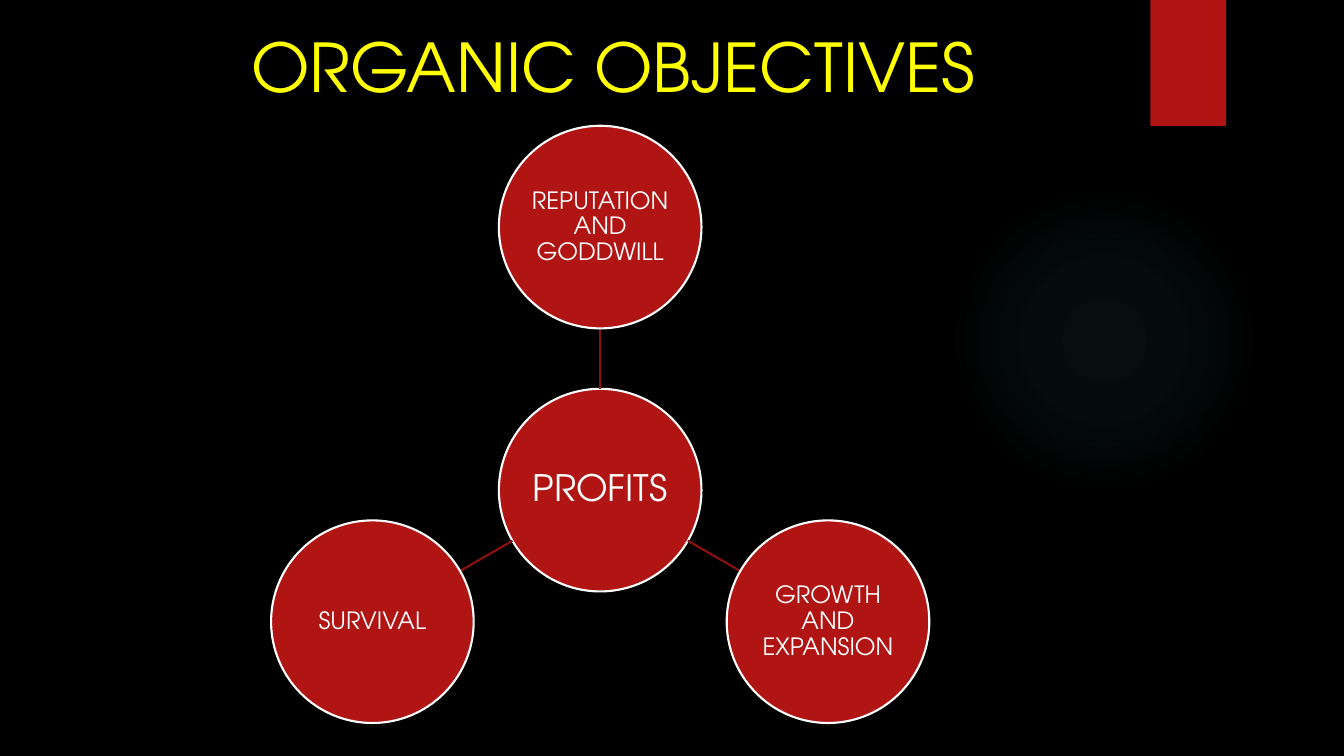
from math import cos, radians, sin

from lxml.etree import SubElement
from pptx import Presentation
from pptx.dml.color import RGBColor
from pptx.enum.shapes import MSO_CONNECTOR, MSO_SHAPE
from pptx.enum.text import MSO_ANCHOR, MSO_AUTO_SIZE, PP_ALIGN
from pptx.oxml import parse_xml
from pptx.oxml.ns import nsdecls, qn
from pptx.util import Pt

FONT = "TeX Gyre Adventor"
RED, DARK_RED, WHITE, YELLOW, BLACK, TEAL = (
    "B01513", "8D110F", "FFFFFF", "FFFF00", "000000", "50B9C1")
OBJECTIVES = [(-90, "REPUTATION AND GODDWILL"), (30, "GROWTH AND EXPANSION"), (150, "SURVIVAL")]


def color(hex_string):
    return RGBColor.from_string(hex_string)


def format_text(text_frame, text, size, hex_string, margin):
    text_frame.text = text
    text_frame.word_wrap = True
    text_frame.auto_size = MSO_AUTO_SIZE.NONE
    text_frame.margin_left = text_frame.margin_right = Pt(margin)
    text_frame.margin_top = text_frame.margin_bottom = Pt(margin)
    paragraph = text_frame.paragraphs[0]
    paragraph.alignment = PP_ALIGN.CENTER
    font = paragraph.runs[0].font
    font.name, font.size, font.color.rgb = FONT, Pt(size), color(hex_string)
    return paragraph


def add_plain_shape(slide, kind, left, top, width, height):
    shape = slide.shapes.add_shape(kind, Pt(left), Pt(top), Pt(width), Pt(height))
    shape.shadow.inherit = False
    shape.fill.solid()
    shape.fill.fore_color.rgb = color(RED)
    shape.line.fill.background()
    return shape


def add_glow(slide, left, top, size):
    """Add a faint circle that fades out from its centre."""
    glow = add_plain_shape(slide, MSO_SHAPE.OVAL, left, top, size, size)
    stops = "".join(
        f'<a:gs pos="{position}000"><a:srgbClr val="{TEAL}">'
        f'<a:alpha val="{alpha}000"/></a:srgbClr></a:gs>'
        for position, alpha in [(0, 7), (36, 6), (69, 0), (100, 0)])
    gradient = parse_xml(
        f'<a:gradFill {nsdecls("a")}><a:gsLst>{stops}</a:gsLst><a:path path="circle">'
        '<a:fillToRect l="50000" t="50000" r="50000" b="50000"/></a:path></a:gradFill>')
    properties = glow.element.spPr
    properties.replace(properties.find(qn("a:solidFill")), gradient)


def add_title(slide, text, left, top, width, height):
    title = slide.shapes.title
    title.left, title.top, title.width, title.height = Pt(left), Pt(top), Pt(width), Pt(height)
    format_text(title.text_frame, text, 48, YELLOW, 3.6)
    title.text_frame.vertical_anchor = MSO_ANCHOR.TOP


def add_circle(slide, text, size, center_x, center_y, diameter):
    circle = add_plain_shape(slide, MSO_SHAPE.OVAL, center_x - diameter / 2,
                             center_y - diameter / 2, diameter, diameter)
    circle.line.color.rgb = color(WHITE)
    circle.line.width = Pt(1.5)
    paragraph = format_text(circle.text_frame, text, size, WHITE, 1)
    paragraph.line_spacing = 0.9
    circle.text_frame.vertical_anchor = MSO_ANCHOR.MIDDLE


def add_spoke(slide, begin, end):
    spoke = slide.shapes.add_connector(MSO_CONNECTOR.STRAIGHT, *map(Pt, begin + end))
    spoke.line.color.rgb = color(DARK_RED)
    spoke.line.width = Pt(1.5)
    SubElement(spoke.element.spPr, qn("a:effectLst"))


def add_radial_diagram(slide, center_x, center_y, diameter, distance):
    """Place the hub, then each objective at its angle with a spoke between them."""
    def point(angle, reach):
        return (center_x + reach * cos(radians(angle)),
                center_y + reach * sin(radians(angle)))

    add_circle(slide, "PROFITS", 26, center_x, center_y, diameter)
    for angle, text in OBJECTIVES:
        add_spoke(slide, point(angle, diameter / 2), point(angle, distance - diameter / 2))
        add_circle(slide, text, 17, *point(angle, distance), diameter)


def main():
    presentation = Presentation()
    presentation.slide_width, presentation.slide_height = Pt(960), Pt(540)
    slide = presentation.slides.add_slide(presentation.slide_layouts[5])
    slide.background.fill.solid()
    slide.background.fill.fore_color.rgb = color(BLACK)
    add_glow(slide, 677.5, 131.8, 221.8)
    add_plain_shape(slide, MSO_SHAPE.RECTANGLE, 821.8, 0, 54, 90)
    add_title(slide, "ORGANIC OBJECTIVES", 90.7, 14.4, 694.8, 90)
    add_radial_diagram(slide, 428.7, 350.1, 144.7, 187.9)
    presentation.save("out.pptx")


if __name__ == "__main__":
    main()
